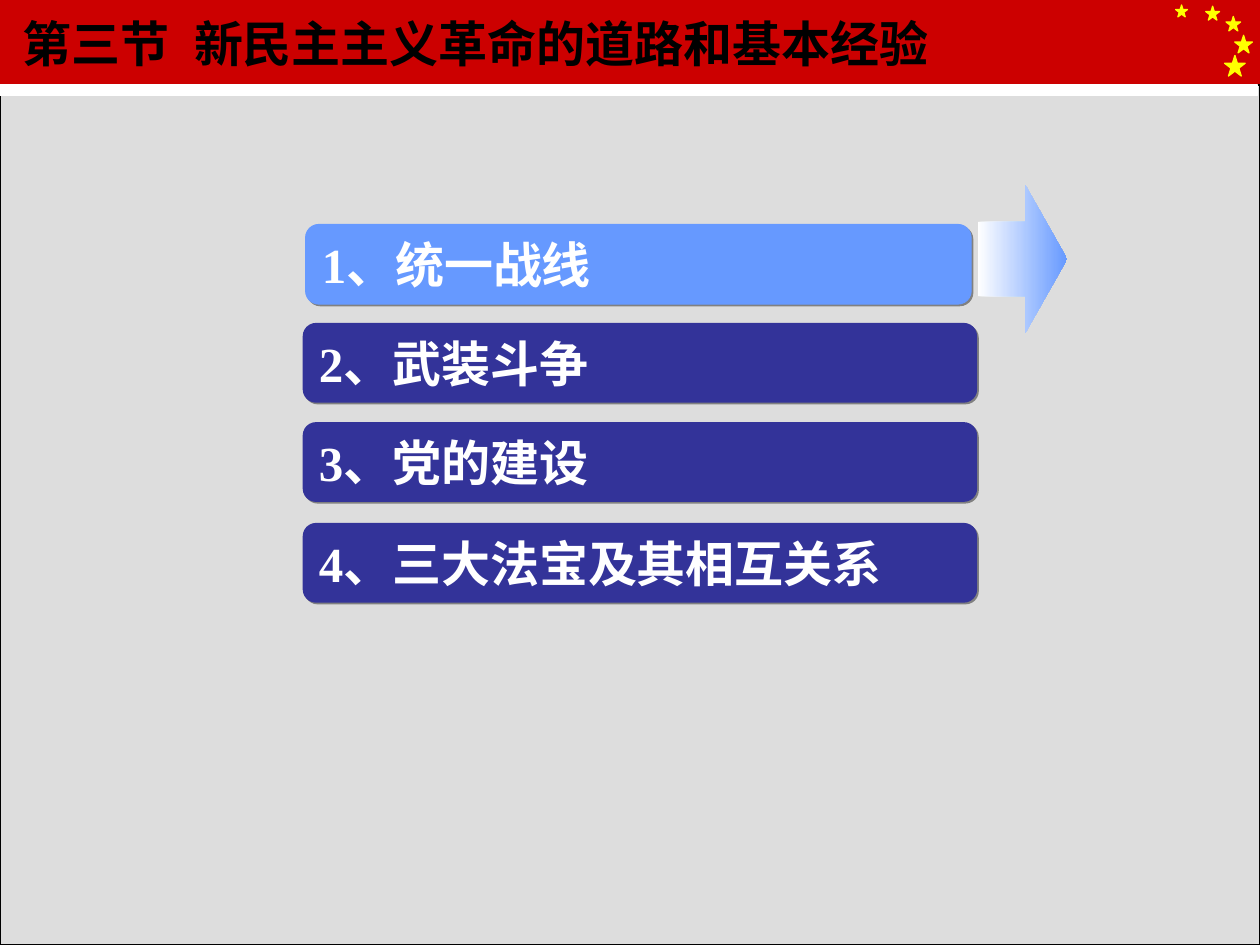
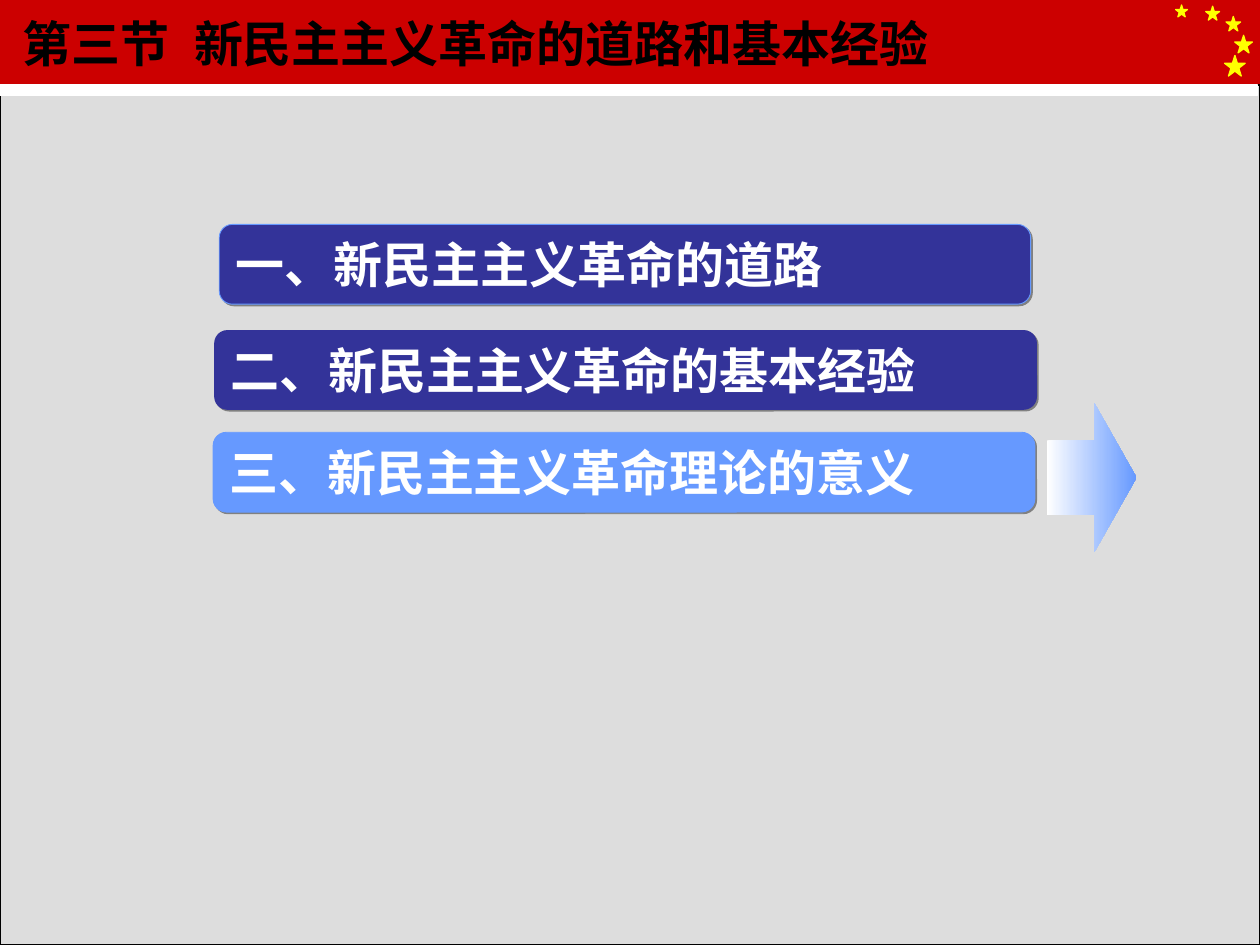
from lxml.etree import SubElement as Sub
from pptx import Presentation as Deck
from pptx.dml.color import RGBColor as Rgb
from pptx.enum.lang import MSO_LANGUAGE_ID as Lang
from pptx.enum.shapes import MSO_SHAPE as Form
from pptx.enum.text import MSO_ANCHOR as Anchor, PP_ALIGN as Align
from pptx.oxml.ns import qn
from pptx.util import Pt

PAPER, BODY, RED, STAR = "EAEAEA", "DDDDDD", "CC0000", "FFFF00"
NAVY, SKY, WHITE, BLACK, GREY = "333399", "6699FF", "FFFFFF", "000000", "808080"
FONT, SIZE = "Times New Roman", 28
WIDE, HIGH = 720, 540
HEAD = 48.6
BAR = 45.6

# Left, top and side of each star, in points
STARS = [(699.8, 31.7, 11.8), (689, 3.6, 7.9), (671.8, 2.9, 6.8),
         (700.6, 9.4, 8.3), (705.6, 20.2, 10.1)]
TITLE = ("第三节", "\t新民主主义革命的道路和基本经验")

# Arrow place, then bars as text, left, top, width, fill, line
PAGES = [
    ((558.7, 105.5), [
        ("1、统一战线", 174.6, 128.2, 380.4, SKY, SKY),
        ("2、武装斗争", 173, 184.5, 385.4, NAVY, None),
        ("3、党的建设", 173, 241.2, 385.4, NAVY, None),
        ("4、三大法宝及其相互关系", 173, 298.8, 385.4, NAVY, None)]),
    ((598.3, 230.4), [
        ("一、新民主主义革命的道路", 125.3, 128.2, 463.7, NAVY, SKY),
        ("二、新民主主义革命的基本经验", 122.4, 188.6, 470.2, NAVY, None),
        ("三、新民主主义革命理论的意义", 121.8, 247, 469.6, SKY, SKY)]),
]


def hue(code):
    return Rgb.from_string(code)


class Page:
    """Holds the deck style and the slide being drawn."""

    def __init__(self, deck):
        self.slide = deck.slides.add_slide(deck.slide_layouts[6])
        back = self.slide.background.fill
        back.solid()
        back.fore_color.rgb = hue(PAPER)

    def shape(self, form, box, fill=None, line=None, wide=0.75):
        item = self.slide.shapes.add_shape(form, *map(Pt, box))
        item.shadow.inherit = False
        if fill:
            item.fill.solid()
            item.fill.fore_color.rgb = hue(fill)
        if line:
            item.line.color.rgb = hue(line)
            item.line.width = Pt(wide)
        else:
            item.line.fill.background()
        return item

    def label(self, item, runs, ink, tab=None):
        frame = item.text_frame
        frame.word_wrap = True
        frame.vertical_anchor = Anchor.MIDDLE
        para = frame.paragraphs[0]
        para.alignment = Align.LEFT
        if tab:
            stops = Sub(para._p.get_or_add_pPr(), qn("a:tabLst"))
            Sub(stops, qn("a:tab"), pos=str(Pt(tab)), algn="l")
        for text in runs:
            run = para.add_run()
            run.text = text
            font = run.font
            font.name, font.size, font.bold = FONT, Pt(SIZE), True
            font.color.rgb = hue(ink)
            font.language_id = Lang.SIMPLIFIED_CHINESE

    def shade(self, item):
        """Cast a hard grey shadow to the lower right."""
        cast = Sub(item._element.spPr.find(qn("a:effectLst")),
                   qn("a:outerShdw"), dist=str(Pt(1.4)), dir="2700000",
                   algn="ctr", rotWithShape="0")
        Sub(cast, qn("a:srgbClr"), val=GREY)

    def frame(self):
        """Draw the red band, stars, body panel and title."""
        self.shape(Form.RECTANGLE, (0, 0, WIDE, 48.2), RED)
        for left, top, side in STARS:
            self.shape(Form.STAR_5_POINT, (left, top, side, side), STAR, STAR)
        self.shape(Form.RECTANGLE, (0, HEAD, WIDE, HIGH - HEAD), BODY, BLACK)
        self.shape(Form.RECTANGLE, (0, HEAD, 718.6, 5.8), WHITE, WHITE)
        title = self.slide.shapes.add_textbox(*map(Pt, (5.8, 0, 563.8, HEAD)))
        self.label(title, TITLE, BLACK, tab=98)

    def bar(self, text, left, top, wide, fill, line):
        item = self.shape(Form.ROUNDED_RECTANGLE, (left, top, wide, BAR),
                          fill, line, 0.5)
        self.shade(item)
        self.label(item, [text], WHITE)

    def arrow(self, left, top):
        item = self.shape(Form.RIGHT_ARROW, (left, top, 51.1, 85))
        item.adjustments[1] = 0.47
        item.fill.gradient()
        item.fill.gradient_angle = 0
        for stop, code in zip(item.fill.gradient_stops, (WHITE, SKY)):
            stop.color.rgb = hue(code)


def main():
    deck = Deck()
    deck.slide_width, deck.slide_height = Pt(WIDE), Pt(HIGH)
    for place, bars in PAGES:
        page = Page(deck)
        page.frame()
        for bar in bars:
            page.bar(*bar)
        page.arrow(*place)
    deck.save("out.pptx")


if __name__ == "__main__":
    main()
